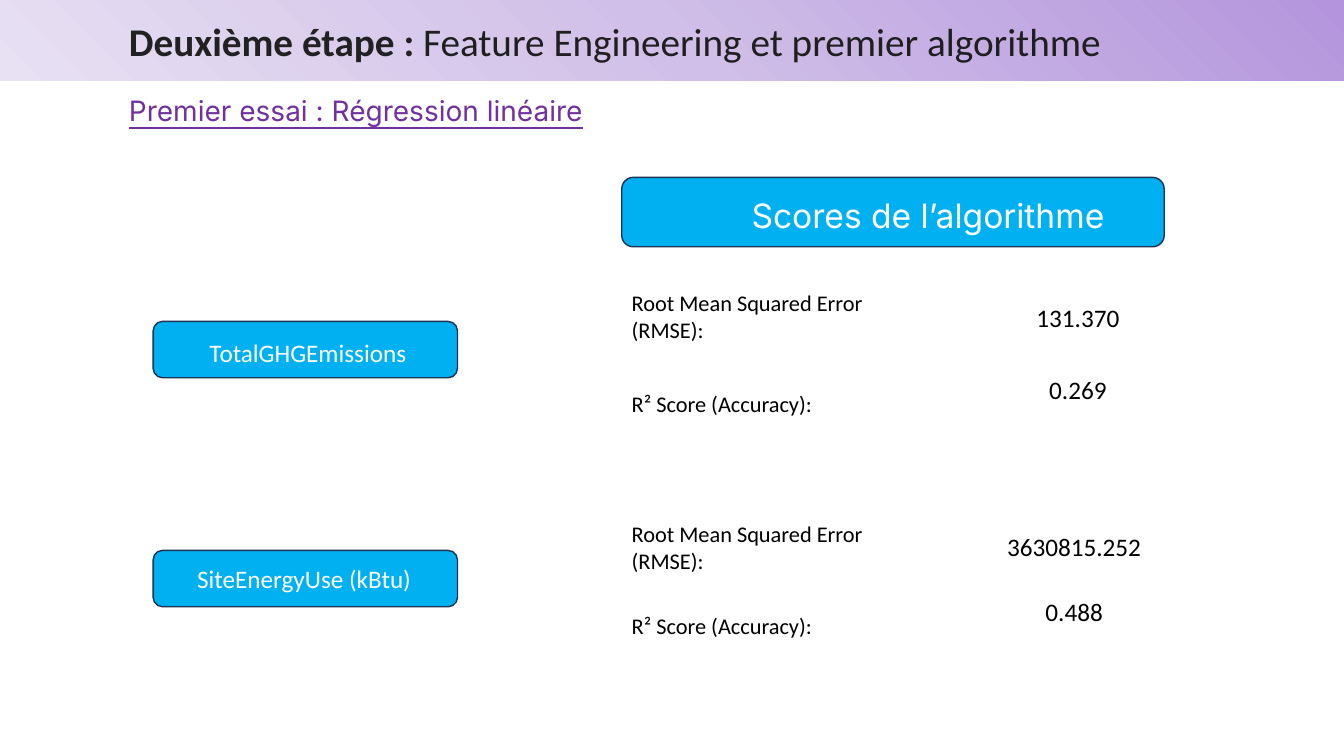
from lxml import etree
from pptx import Presentation
from pptx import util as u
from pptx.dml.color import RGBColor
from pptx.enum import shapes, text
from pptx.oxml import ns

WHITE = RGBColor(0xFF, 0xFF, 0xFF)
BLACK = RGBColor(0, 0, 0)
INK = RGBColor(0x21, 0x21, 0x21)
INK_LIGHT = RGBColor(0x1F, 0x1F, 0x1F)
PURPLE = RGBColor(0x70, 0x30, 0xA0)
BLUE = RGBColor(0x00, 0xB0, 0xF0)
NAVY = RGBColor(0x1E, 0x32, 0x56)
BANNER_STOPS = [
    (0, RGBColor(0xB4, 0x95, 0xDD)),
    (50, RGBColor(0xD0, 0xBF, 0xE8)),
    (100, RGBColor(0xE8, 0xE0, 0xF3)),
]

SLIDE_SIZE = (33.87, 19.05)
BANNER_HEIGHT = 2.03
TITLE = [
    ("Deuxième étape : ", INK, True),
    ("Feature Engineering et premier algorithme", INK_LIGHT, False),
]
SUBTITLE = "Premier essai : Régression linéaire"
SCORES_HEADING = "Scores de l’algorithme"
METRICS = [  # label, width, height
    ("Root Mean Squared Error (RMSE):", 6.43, 1.63),
    ("R² Score (Accuracy):", 5.56, 1.8),
]
LEFT_COLUMN, SCORE_COLUMN = 3.86, 15.67
BUTTON_SIZE = (7.67, 1.42)

# All boxes are (left, top, width, height) in centimetres.
TARGETS = [
    {
        "name": "TotalGHGEmissions",
        "button_top": 8.1,
        "name_box": (5.03, 8.38, 5.51, 1.02),
        "metric_tops": (7.16, 9.7),
        "scores": ("131.370", "0.269"),
        "table_box": (24.94, 6.99, 4.45, 3.61),
        "row_heights": (2.11, 1.5),
    },
    {
        "name": "SiteEnergyUse (kBtu)",
        "button_top": 13.87,
        "name_box": (4.72, 14.07, 5.97, 1.02),
        "metric_tops": (12.98, 15.29),
        "scores": ("3630815.252", "0.488"),
        "table_box": (24.77, 12.98, 4.6, 3.3),
        "row_heights": (1.65, 1.65),
    },
]


def lengths(box):
    return [u.Cm(value) for value in box]


def add_span(para, wording, size, color, font="Calibri", bold=False, underline=False):
    span = para.add_run()
    span.text = wording
    span.font.name = font
    span.font.size = u.Pt(size)
    span.font.color.rgb = color
    span.font.bold = bold
    span.font.underline = underline


def add_text_box(page, box, wrap=True):
    """Add an empty text box and return its first paragraph."""
    frame = page.shapes.add_textbox(*lengths(box)).text_frame
    frame.word_wrap = wrap
    frame.auto_size = text.MSO_AUTO_SIZE.SHAPE_TO_FIT_TEXT
    return frame.paragraphs[0]


def add_button(page, box):
    button = page.shapes.add_shape(shapes.MSO_SHAPE.ROUNDED_RECTANGLE, *lengths(box))
    button.shadow.inherit = False
    button.fill.solid()
    button.fill.fore_color.rgb = BLUE
    button.line.color.rgb = NAVY
    button.line.width = u.Pt(1)


def add_banner(page):
    banner = page.shapes.add_shape(
        shapes.MSO_SHAPE.RECTANGLE, *lengths((0, 0, SLIDE_SIZE[0], BANNER_HEIGHT)))
    banner.shadow.inherit = False
    banner.line.fill.background()
    banner.fill.gradient()
    banner.fill.gradient_angle = 225
    stops = banner.fill._fill._gradFill.find(ns.qn("a:gsLst"))
    for stop in list(stops):
        stops.remove(stop)
    for percent, color in BANNER_STOPS:
        stop = etree.SubElement(stops, ns.qn("a:gs"), pos=str(percent * 1000))
        etree.SubElement(stop, ns.qn("a:srgbClr"), val=str(color))


def add_score_table(page, target):
    scores = target["scores"]
    table = page.shapes.add_table(len(scores), 1, *lengths(target["table_box"])).table
    table.first_row = False
    table.horz_banding = False
    for index, (score, height) in enumerate(zip(scores, target["row_heights"])):
        table.rows[index].height = u.Cm(height)
        cell = table.cell(index, 0)
        cell.fill.solid()
        cell.fill.fore_color.rgb = WHITE
        cell.vertical_anchor = text.MSO_ANCHOR.MIDDLE
        para = cell.text_frame.paragraphs[0]
        para.alignment = text.PP_ALIGN.CENTER
        add_span(para, score, 18, BLACK)


def add_target(page, target):
    """Add one predicted variable with its metrics and scores."""
    add_button(page, (LEFT_COLUMN, target["button_top"], *BUTTON_SIZE))
    add_span(add_text_box(page, target["name_box"], wrap=False), target["name"], 18, WHITE)
    add_score_table(page, target)
    for (label, width, height), top in zip(METRICS, target["metric_tops"]):
        para = add_text_box(page, (SCORE_COLUMN, top, width, height))
        add_span(para, label, 16, BLACK)


def main():
    deck = Presentation()
    deck.slide_width, deck.slide_height = lengths(SLIDE_SIZE)
    page = deck.slides.add_slide(deck.slide_layouts[6])

    add_banner(page)
    title = add_text_box(page, (3, 0.3, 25.27, 1.45), wrap=False)
    for wording, color, bold in TITLE:
        add_span(title, wording, 28, color, bold=bold)
    subtitle = add_text_box(page, (3, 2.24, 17.98, 1.1))
    add_span(subtitle, SUBTITLE, 20, PURPLE, font="Inter", underline=True)

    add_button(page, (SCORE_COLUMN, 4.47, 13.67, 1.75))
    heading = add_text_box(page, (18.69, 4.78, 10.65, 1.27))
    add_span(heading, SCORES_HEADING, 24, WHITE, font="Inter")

    for target in TARGETS:
        add_target(page, target)
    deck.save("out.pptx")


if __name__ == "__main__":
    main()
